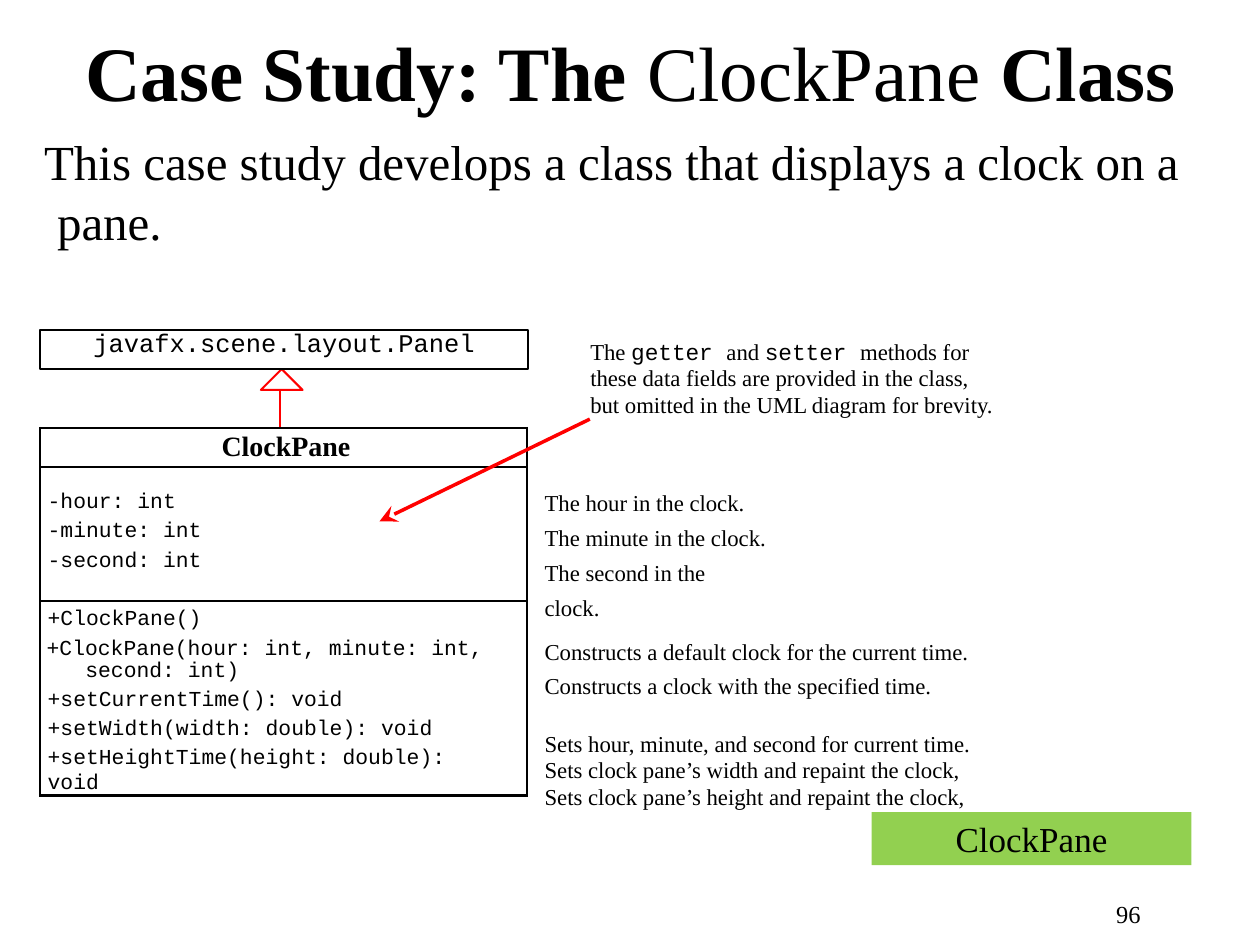
from dataclasses import dataclass
from lxml import etree
from pptx import Presentation
from pptx.dml.color import RGBColor
from pptx.enum.shapes import MSO_CONNECTOR as Link, MSO_SHAPE as Shape
from pptx.enum.text import MSO_ANCHOR as Anchor, MSO_AUTO_SIZE as Fit, PP_ALIGN as Align
from pptx.oxml.ns import qn
from pptx.util import Cm, Pt


@dataclass
class Theme:
    black = RGBColor(0, 0, 0)
    red = RGBColor(255, 0, 0)
    green = RGBColor(0x92, 0xD0, 0x50)
    serif = "Times New Roman"
    mono = "Courier New"
    title = 44
    lead = 28
    button = 20
    heading = 16
    parent = 14.5
    number = 14
    note = 13
    code = 12.2
    thin = 1.18
    border = 1.5
    arrow = 2


t = Theme()


def write(p, parts, size, font=t.serif, bold=False, left=0, hang=0,
          before=0, spacing=None, align=Align.LEFT):
    p.text = parts[0]
    for part in parts[1:]:
        p.add_run().text = part
    p.alignment = align
    p.space_before = Pt(before)
    p.line_spacing = spacing
    pPr = p._p.get_or_add_pPr()
    pPr.set("marL", str(Cm(left)))
    pPr.set("indent", str(Cm(-hang)))
    for r in p.runs:
        r.font.name = font
        r.font.size = Pt(size)
        r.font.bold = bold
        r.font.color.rgb = t.black


def frame(tf, top=0, anchor=Anchor.TOP):
    tf.word_wrap = True
    tf.auto_size = Fit.NONE
    tf.vertical_anchor = anchor
    tf.margin_left = tf.margin_right = tf.margin_bottom = 0
    tf.margin_top = Cm(top)
    return tf


prs = Presentation()
prs.slide_width, prs.slide_height = Cm(25.4), Cm(19.05)
s = prs.slides.add_slide(prs.slide_layouts[5])

title = s.shapes.title
title.left, title.top, title.width, title.height = Cm(0.86), Cm(0), Cm(22.94), Cm(5.08)
tf = frame(title.text_frame, 0.5)
p = tf.paragraphs[0]
write(p, ["Case Study: The ", "ClockPane ", "Class"], t.title, bold=True, left=0.86)
p.runs[1].font.bold = False
write(tf.add_paragraph(),
      ["This case study develops a class that displays a clock on a\vpane."],
      t.lead, left=0.29, hang=0.26, before=8.1, spacing=1.01)

head = s.shapes.add_shape(Shape.ISOSCELES_TRIANGLE, Cm(5.26), Cm(7.44), Cm(0.84), Cm(0.42))
head.shadow.inherit = False
head.fill.background()
head.line.color.rgb = t.red
head.line.width = Pt(t.thin)

table = s.shapes.add_table(4, 2, Cm(0.81), Cm(7.87), Cm(9.8), Cm(7.98)).table
table.first_row = table.horz_banding = False
for col, width in zip(table.columns, (4.83, 4.98)):
    col.width = Cm(width)
for row, height in zip(table.rows, (0.76, 0.79, 2.69, 3.73)):
    row.height = Cm(height)
for i in range(1, 4):
    table.cell(i, 0).merge(table.cell(i, 1))

members = [
    (1, 0.07, [("ClockPane", dict(size=t.heading, bold=True, align=Align.CENTER, left=0.1))]),
    (2, 0.48, [("-hour: int", {}),
               ("-minute: int", dict(before=2.6)),
               ("-second: int", dict(before=2.9))]),
    (3, 0.14, [("+ClockPane()", {}),
               ("+ClockPane(hour: int, minute: int,\vsecond: int)",
                dict(before=5.1, left=0.91, hang=0.78, spacing=Pt(12.2))),
               ("+setCurrentTime(): void", dict(before=2.8)),
               ("+setWidth(width: double): void", dict(before=2.6)),
               ("+setHeightTime(height: double):\vvoid", dict(before=2.9))]),
]
code = dict(size=t.code, font=t.mono, left=0.15)
for i, top, lines in members:
    cell = table.cell(i, 0)
    cell.margin_top = Cm(top)
    tf = cell.text_frame
    for n, (text, look) in enumerate(lines):
        p = tf.add_paragraph() if n else tf.paragraphs[0]
        write(p, [text], **{**code, "font": t.serif if i == 1 else t.mono, **look})

for i in range(4):
    for j in range(2):
        cell = table.cell(i, j)
        cell.margin_left = cell.margin_right = cell.margin_bottom = 0
        if i == 0:
            cell.margin_top = 0
            end = etree.SubElement(cell.text_frame.paragraphs[0]._p, qn("a:endParaRPr"))
            end.set("sz", "1200")
            colors = dict(L=t.red if j else None, R=None if j else t.red, T=None, B=t.black)
        else:
            colors = dict.fromkeys("LRTB", t.black)
        tcPr = cell._tc.get_or_add_tcPr()
        for side, color in colors.items():
            ln = etree.SubElement(tcPr, qn("a:ln" + side), w=str(Pt(t.border)))
            if color is None:
                etree.SubElement(ln, qn("a:noFill"))
            else:
                fill = etree.SubElement(ln, qn("a:solidFill"))
                etree.SubElement(fill, qn("a:srgbClr"), val=str(color))
        cell.fill.background()

parent = s.shapes.add_shape(Shape.RECTANGLE, Cm(0.81), Cm(6.65), Cm(9.83), Cm(0.79))
parent.shadow.inherit = False
parent.fill.background()
parent.line.color.rgb = t.black
parent.line.width = Pt(t.thin)
write(frame(parent.text_frame, 0.02).paragraphs[0], ["javafx.scene.layout.Panel"],
      t.parent, t.mono, spacing=Pt(15.4), align=Align.CENTER)

note = s.shapes.add_textbox(Cm(11.87), Cm(6.78), Cm(8.28), Cm(1.68))
p = frame(note.text_frame, 0.07).paragraphs[0]
write(p, ["The ", "getter ", "and ", "setter ",
          "methods for these data fields are provided in the class, "
          "but omitted in the UML diagram for brevity."],
      t.note, left=0.03, spacing=0.96)
for r in p.runs[1:4:2]:
    r.font.name = t.mono

arrow = s.shapes.add_connector(Link.STRAIGHT, Cm(11.89), Cm(8.45), Cm(7.65), Cm(10.51))
arrow.line.color.rgb = t.red
arrow.line.width = Pt(t.arrow)
etree.SubElement(arrow.line._get_or_add_ln(), qn("a:tailEnd"), type="stealth", w="lg", len="lg")
etree.SubElement(arrow._element.spPr, qn("a:effectLst"))

details = s.shapes.add_textbox(Cm(10.95), Cm(9.68), Cm(8.74), Cm(5.99))
tf = frame(details.text_frame, 0.02)
blocks = [
    ("The hour in the clock.\vThe minute in the clock.\vThe second in the\vclock.", 1.28, 0),
    ("Constructs a default clock for the current time."
     "\vConstructs a clock with the specified time.", 1.27, 5.1),
    ("Sets hour, minute, and second for current time."
     "\vSets clock pane’s width and repaint the clock,"
     "\vSets clock pane’s height and repaint the clock,", 0.96, 18.5),
]
for n, (text, spacing, before) in enumerate(blocks):
    p = tf.add_paragraph() if n else tf.paragraphs[0]
    write(p, [text], t.note, left=0.03, before=before, spacing=spacing)

number = s.shapes.add_textbox(Cm(22.4), Cm(18.14), Cm(0.99), Cm(0.61))
write(frame(number.text_frame).paragraphs[0], ["96"], t.number, left=0.1, spacing=Pt(16.3))

button = s.shapes.add_shape(Shape.RECTANGLE, Cm(17.57), Cm(16.37), Cm(6.45), Cm(1.07))
button.shadow.inherit = False
button.fill.solid()
button.fill.fore_color.rgb = t.green
button.line.fill.background()
write(frame(button.text_frame, anchor=Anchor.MIDDLE).paragraphs[0], ["ClockPane"],
      t.button, align=Align.CENTER)

prs.save("out.pptx")
